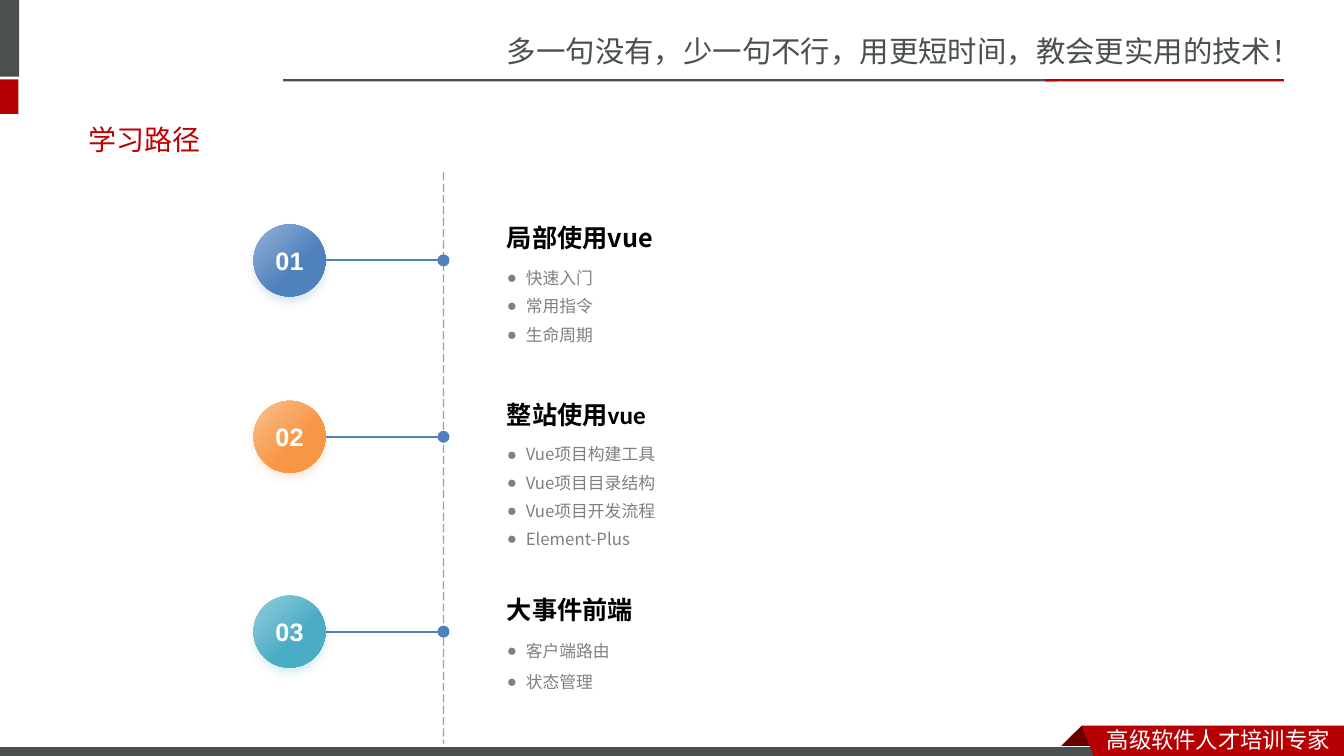
"""Build the learning path slide with three numbered steps along a dashed axis."""
from lxml import etree
from pptx import Presentation
from pptx.dml.color import RGBColor
from pptx.enum.dml import MSO_LINE
from pptx.enum.shapes import MSO_CONNECTOR, MSO_SHAPE
from pptx.enum.text import MSO_ANCHOR, MSO_AUTO_SIZE, PP_ALIGN
from pptx.oxml.ns import qn
from pptx.util import Pt

RECTANGLE, OVAL = MSO_SHAPE.RECTANGLE, MSO_SHAPE.OVAL
STRAIGHT = MSO_CONNECTOR.STRAIGHT
LONG_DASH = MSO_LINE.LONG_DASH
TOP, MIDDLE, BOTTOM = MSO_ANCHOR.TOP, MSO_ANCHOR.MIDDLE, MSO_ANCHOR.BOTTOM
LEFT, CENTER = PP_ALIGN.LEFT, PP_ALIGN.CENTER
NO_AUTOSIZE = MSO_AUTO_SIZE.NONE

COLORS = {
    "slate": "49504F", "red": "B60004", "dark red": "680000", "title": "C00000",
    "white": "FFFFFF", "black": "000000", "gray": "808080", "navy": "1F497D",
    "blue": "4F81BD", "light blue": "95B3D7",
    "orange": "F79646", "light orange": "FAC090",
    "teal": "4BACC6", "light teal": "93CDDD",
}
SANS, SANS_JP = "Noto Sans CJK SC", "Noto Sans CJK JP"

TITLE = "学习路径"
SLOGAN = "多一句没有，少一句不行，用更短时间，教会更实用的技术！"
RIBBON_TEXT = "高级软件人才培训专家"
STEPS = [
    {"number": "01", "color": "blue", "center": 186, "heading": "局部使用vue",
     "items": ["快速入门", "常用指令", "生命周期"],
     "heading font": SANS_JP, "list font": SANS_JP, "spacing": 1.4, "height": 66},
    {"number": "02", "color": "orange", "center": 312, "heading": "整站使用vue",
     "items": ["Vue项目构建工具", "Vue项目目录结构", "Vue项目开发流程", "Element-Plus"],
     "heading font": "Calibri", "list font": SANS_JP, "spacing": 1.4, "height": 88},
    {"number": "03", "color": "teal", "center": 451.2, "heading": "大事件前端",
     "items": ["客户端路由", "状态管理"],
     "heading font": "Calibri", "list font": "Calibri", "spacing": 1.5, "height": 66},
]
HEADER_BARS = [
    (-4.4, 0, 18, 54.8, "slate"),
    (-4.4, 56.6, 17.6, 24.8, "red"),
    (202.2, 56.6, 553, 1.6, "slate"),
    (746.5, 56.6, 170.5, 1.6, "red"),
]
RIBBON_FOLD = [(772.6, 518.4), (788.4, 534.2), (787.7, 535), (757.4, 535), (756.7, 534.2)]
RIBBON = [(772.6, 518.4), (960, 518.4), (960, 542.9), (782, 542.2)]

AXIS_X = 316.8
DOT = 8.6
CIRCLE_LEFT, CIRCLE = 181.1, 51.4
TEXT_LEFT, TEXT_WIDTH = 355, 211.7
HEADING_HEIGHT = 64.8
INDENT = 13.5


def rgb(name):
    return RGBColor.from_string(COLORS[name])


def paint(shape, color):
    shape.shadow.inherit = False
    shape.fill.solid()
    shape.fill.fore_color.rgb = rgb(color)
    shape.line.fill.background()


def add_block(slide, kind, left, top, width, height, color):
    shape = slide.shapes.add_shape(kind, Pt(left), Pt(top), Pt(width), Pt(height))
    paint(shape, color)
    return shape


def add_outline(slide, points, color):
    corners = [(Pt(x), Pt(y)) for x, y in points]
    builder = slide.shapes.build_freeform(*corners[0], scale=1.0)
    builder.add_line_segments(corners[1:], close=True)
    paint(builder.convert_to_shape(), color)


def add_line(slide, start, end, color, width):
    connector = slide.shapes.add_connector(STRAIGHT, *(Pt(value) for value in start + end))
    connector.line.color.rgb = rgb(color)
    connector.line.width = Pt(width)
    etree.SubElement(connector._element.spPr, qn("a:effectLst"))
    return connector


def write(shape, lines, size, font, color, bold=False, align=LEFT, anchor=TOP):
    frame = shape.text_frame
    frame.text = "\n".join(lines)
    frame.word_wrap = True
    frame.auto_size = NO_AUTOSIZE
    frame.vertical_anchor = anchor
    for paragraph in frame.paragraphs:
        paragraph.alignment = align
        for run in paragraph.runs:
            run.font.size = Pt(size)
            run.font.bold = bold
            run.font.name = font
            run.font.color.rgb = rgb(color)
            east_asian = etree.SubElement(run.font._element, qn("a:ea"))
            east_asian.set("typeface", font if font == SANS_JP else SANS)


def add_text(slide, left, top, width, height, lines, *style, **options):
    box = slide.shapes.add_textbox(Pt(left), Pt(top), Pt(width), Pt(height))
    write(box, lines, *style, **options)
    return box


def add_bullets(box, spacing):
    for paragraph in box.text_frame.paragraphs:
        properties = paragraph._p.get_or_add_pPr()
        properties.set("marL", str(Pt(INDENT)))
        properties.set("indent", str(-Pt(INDENT)))
        etree.SubElement(properties, qn("a:buFont")).set("typeface", "Arial")
        etree.SubElement(properties, qn("a:buChar")).set("char", "●")
        paragraph.line_spacing = spacing


def add_shadow(shape, color):
    effects = shape._element.spPr.find(qn("a:effectLst"))
    shadow = etree.SubElement(effects, qn("a:outerShdw"), blurRad=str(Pt(6)),
                              dist=str(Pt(4)), dir="5400000", algn="t", rotWithShape="0")
    shade = etree.SubElement(shadow, qn("a:srgbClr"), val=COLORS[color])
    etree.SubElement(shade, qn("a:alpha"), val="20000")


def add_circle(slide, step):
    color = step["color"]
    circle = add_block(slide, OVAL, CIRCLE_LEFT, step["center"] - CIRCLE / 2,
                       CIRCLE, CIRCLE, color)
    circle.fill.gradient()
    circle.fill.gradient_angle = 315
    stops = zip(circle.fill.gradient_stops, ("light " + color, color), (0, 0.6))
    for stop, shade, position in stops:
        stop.color.rgb = rgb(shade)
        stop.position = position
    add_shadow(circle, color)
    write(circle, [step["number"]], 18, "Arial", "white", bold=True,
          align=CENTER, anchor=MIDDLE)
    frame = circle.text_frame
    frame.margin_left = frame.margin_right = 0


def add_step(slide, step):
    center = step["center"]
    add_line(slide, (CIRCLE_LEFT + CIRCLE, center), (AXIS_X, center), "blue", 1.5)
    add_block(slide, OVAL, AXIS_X - DOT / 2, center - DOT / 2, DOT, DOT, "blue")
    add_circle(slide, step)
    add_text(slide, TEXT_LEFT, center - 1.7 - HEADING_HEIGHT, TEXT_WIDTH, HEADING_HEIGHT,
             [step["heading"]], 18, step["heading font"], "black", bold=True, anchor=BOTTOM)
    items = add_text(slide, TEXT_LEFT, center - 4, TEXT_WIDTH, step["height"],
                     step["items"], 12, step["list font"], "gray")
    add_bullets(items, step["spacing"])


def add_frame(slide):
    add_text(slide, 355, 20.2, 605.5, 33.8, [SLOGAN], 21, SANS, "slate")
    for bar in HEADER_BARS:
        add_block(slide, RECTANGLE, *bar)
    add_outline(slide, RIBBON_FOLD, "dark red")
    footer = add_block(slide, RECTANGLE, -0.7, 533.5, 792, 8.6, "slate")
    footer.line.color.rgb = rgb("white")
    footer.line.width = Pt(0.75)
    add_outline(slide, RIBBON, "red")
    add_text(slide, 783.4, 514.8, 176.4, 26.6, [RIBBON_TEXT], 16, SANS, "white")


def main():
    presentation = Presentation()
    presentation.slide_width, presentation.slide_height = Pt(960), Pt(540)
    slide = presentation.slides.add_slide(presentation.slide_layouts[5])
    add_frame(slide)
    title = slide.shapes.title
    title.left, title.top, title.width, title.height = Pt(56.2), Pt(79.2), Pt(842.4), Pt(41)
    write(title, [TITLE], 20, "Arial", "title", anchor=MIDDLE)
    axis = add_line(slide, (AXIS_X, 123), (AXIS_X, 531.4), "navy", 0.75)
    axis.line.dash_style = LONG_DASH
    shade = axis._element.spPr.find(".//" + qn("a:srgbClr"))
    etree.SubElement(shade, qn("a:alpha"), val="50000")
    for step in STEPS:
        add_step(slide, step)
    presentation.save("out.pptx")


if __name__ == "__main__":
    main()
